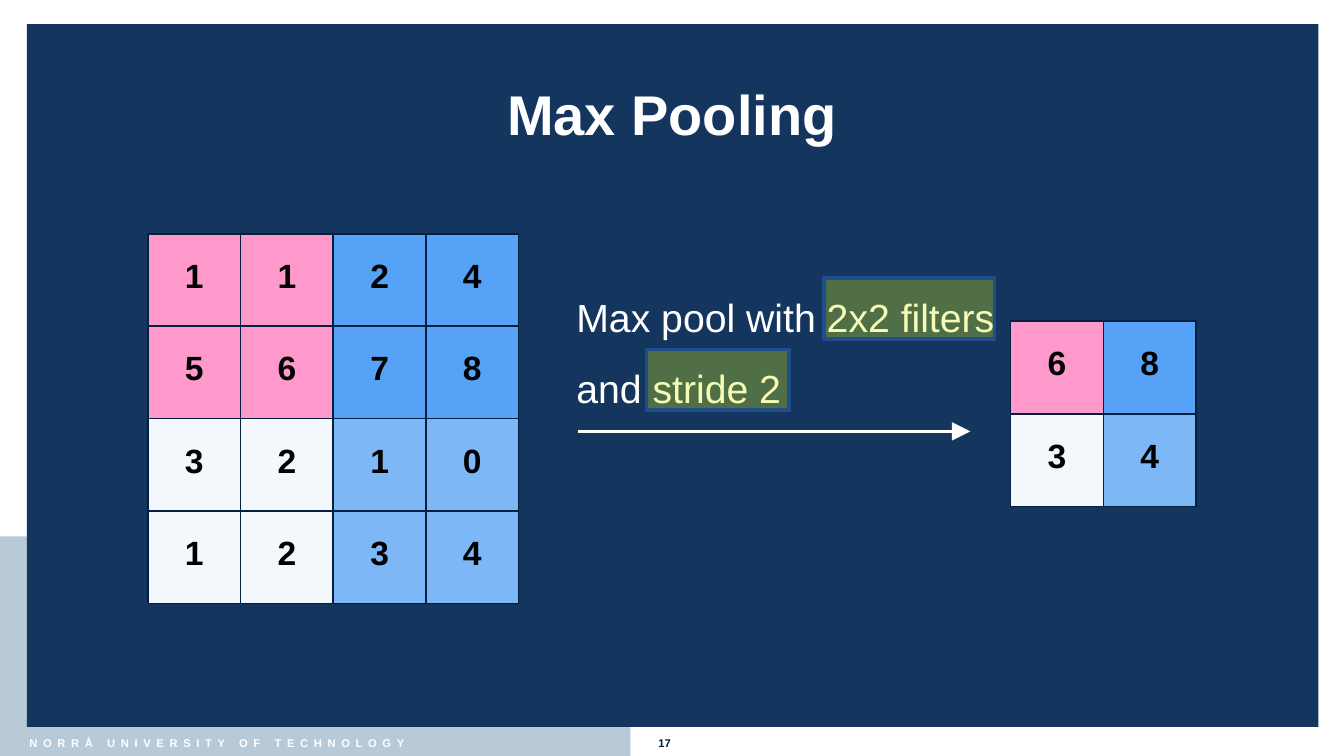
from dataclasses import dataclass
from typing import Any, Optional

import pptx
import pptx.dml.color
import pptx.enum.shapes
import pptx.enum.text
import pptx.oxml
import pptx.oxml.ns
import pptx.util

Inches = pptx.util.Inches
Pt = pptx.util.Pt
RGBColor = pptx.dml.color.RGBColor
Align = pptx.enum.text.PP_ALIGN
Anchor = pptx.enum.text.MSO_ANCHOR

WHITE = RGBColor(0xFF, 0xFF, 0xFF)
BLACK = RGBColor(0x00, 0x00, 0x00)
NAVY = RGBColor(0x14, 0x35, 0x5E)
INK = RGBColor(0x03, 0x20, 0x40)
MIST = RGBColor(0xB8, 0xC9, 0xD7)
PINK = RGBColor(0xFF, 0x99, 0xCC)
BLUE = RGBColor(0x56, 0xA2, 0xF7)
PALE = RGBColor(0xF3, 0xF8, 0xFC)
SKY = RGBColor(0x7E, 0xB7, 0xF5)
YELLOW = RGBColor(0xE1, 0xF7, 0x11)
OUTLINE = RGBColor(0x1E, 0x4F, 0x8C)

QUADRANT_COLORS = ((PINK, BLUE), (PALE, SKY))
CELL_FORMAT = {
    "margin_left": Inches(0.07),
    "margin_right": Inches(0.07),
    "margin_top": Inches(0.04),
    "margin_bottom": Inches(0.04),
}
CELL_PARA = {"alignment": Align.CENTER, "line_spacing": 1.5, "space_before": Pt(6)}


@dataclass
class Block:
    left: float
    top: float
    width: float
    height: float
    color: RGBColor
    opacity: int = 100
    outline: Optional[RGBColor] = None


@dataclass
class Matrix:
    left: float
    top: float
    width: float
    height: float
    values: tuple[tuple[int, ...], ...]


BACKDROP = (
    Block(0, 0, 10, 5.65, WHITE),
    Block(0, 3.99, 4.69, 1.65, MIST),
    Block(0.2, 0.18, 9.61, 5.23, NAVY),
)
HIGHLIGHTS = (
    Block(6.13, 2.07, 1.27, 0.45, YELLOW, 30, OUTLINE),
    Block(4.81, 2.6, 1.06, 0.45, YELLOW, 30, OUTLINE),
)
MATRICES = (
    Matrix(1.1, 1.74, 2.76, 2.75, ((1, 1, 2, 4), (5, 6, 7, 8), (3, 2, 1, 0), (1, 2, 3, 4))),
    Matrix(7.52, 2.39, 1.38, 1.38, ((6, 8), (3, 4))),
)


def set_format(target: Any, values: dict[str, Any]) -> None:
    for name, value in values.items():
        setattr(target, name, value)


def add_child(parent: Any, tag: str, **attributes: str) -> Any:
    child = pptx.oxml.parse_xml(f"<{tag} {pptx.oxml.ns.nsdecls('a')}/>")
    for name, value in attributes.items():
        child.set(name, value)
    parent.append(child)
    return child


def add_span(para: Any, text: str, size: float, color: RGBColor, bold: bool = False) -> Any:
    span = para.add_run()
    span.text = text
    set_format(span.font, {"name": "Arial", "size": Pt(size), "bold": bold})
    span.font.color.rgb = color
    return span


def add_box(page: Any, left: float, top: float, width: float, height: float, wrap: bool) -> Any:
    box = page.shapes.add_textbox(Inches(left), Inches(top), Inches(width), Inches(height))
    box.text_frame.word_wrap = wrap
    return box


def draw_block(page: Any, block: Block) -> None:
    shape = page.shapes.add_shape(
        pptx.enum.shapes.MSO_SHAPE.RECTANGLE,
        Inches(block.left), Inches(block.top), Inches(block.width), Inches(block.height),
    )
    shape.shadow.inherit = False
    shape.fill.solid()
    shape.fill.fore_color.rgb = block.color
    if block.opacity < 100:
        color = shape.element.spPr.find(".//" + pptx.oxml.ns.qn("a:srgbClr"))
        add_child(color, "a:alpha", val=str(block.opacity * 1000))
    if block.outline is None:
        shape.line.fill.background()
    else:
        shape.line.color.rgb = block.outline
        shape.line.width = Pt(2)


def draw_footer(page: Any, institution: str, number: str) -> None:
    para = add_box(page, 0.12, 5.43, 5.05, 0.25, True).text_frame.paragraphs[0]
    stops = add_child(para._p.get_or_add_pPr(), "a:tabLst")
    add_child(stops, "a:tab", pos=str(Inches(4.68)), algn="l")
    span = add_span(para, institution, 6, WHITE, True)
    span.font._element.set("spc", "300")
    add_span(para, "\t" + number, 6, INK, True)


def draw_caption(page: Any, lines: tuple[str, ...]) -> None:
    frame = add_box(page, 4.19, 1.96, 3.34, 1.1, False).text_frame
    frame.auto_size = pptx.enum.text.MSO_AUTO_SIZE.SHAPE_TO_FIT_TEXT
    for index, line in enumerate(lines):
        para = frame.add_paragraph() if index else frame.paragraphs[0]
        para.line_spacing = 1.5
        add_span(para, line, 21, WHITE)


def draw_title(page: Any, text: str) -> None:
    title = page.shapes.title
    set_format(title, {"left": Inches(0.69), "top": Inches(0.3), "width": Inches(8.62), "height": Inches(1.09)})
    title.text_frame.vertical_anchor = Anchor.MIDDLE
    para = title.text_frame.paragraphs[0]
    para.alignment = Align.CENTER
    add_span(para, text, 30, WHITE, True)
    page.shapes.element.append(title.element)


def add_borders(cell: Any) -> None:
    properties = cell._tc.get_or_add_tcPr()
    for side in ("L", "R", "T", "B"):
        line = add_child(properties, f"a:ln{side}", w=str(Pt(1)))
        add_child(add_child(line, "a:solidFill"), "a:srgbClr", val=str(INK))


def draw_matrix(page: Any, matrix: Matrix) -> None:
    count = len(matrix.values)
    table = page.shapes.add_table(
        count, count,
        Inches(matrix.left), Inches(matrix.top), Inches(matrix.width), Inches(matrix.height),
    ).table
    set_format(table, {"first_row": False, "horz_banding": False})
    for row, values in enumerate(matrix.values):
        for column, value in enumerate(values):
            cell = table.cell(row, column)
            set_format(cell, CELL_FORMAT)
            add_borders(cell)
            cell.fill.solid()
            cell.fill.fore_color.rgb = QUADRANT_COLORS[row * 2 // count][column * 2 // count]
            para = cell.text_frame.paragraphs[0]
            set_format(para, CELL_PARA)
            add_span(para, str(value), 18, BLACK, True)


def draw_arrow(page: Any, left: float, right: float, height: float) -> None:
    arrow = page.shapes.add_connector(
        pptx.enum.shapes.MSO_CONNECTOR.STRAIGHT,
        Inches(left), Inches(height), Inches(right), Inches(height),
    )
    arrow.line.color.rgb = WHITE
    arrow.line.width = Pt(1.75)
    add_child(arrow.line._get_or_add_ln(), "a:tailEnd", type="triangle", w="lg", len="lg")
    add_child(arrow.element.spPr, "a:effectLst")


def main() -> None:
    deck = pptx.Presentation()
    set_format(deck, {"slide_width": Inches(10), "slide_height": Inches(10) * 9 // 16})
    page = deck.slides.add_slide(deck.slide_layouts[5])
    for block in BACKDROP:
        draw_block(page, block)
    draw_footer(page, "NORRÅ UNIVERSITY OF TECHNOLOGY", "17")
    draw_caption(page, ("Max pool with 2x2 filters", "and stride 2"))
    draw_title(page, "Max Pooling")
    for matrix in MATRICES:
        draw_matrix(page, matrix)
    for block in HIGHLIGHTS:
        draw_block(page, block)
    draw_arrow(page, 4.3, 7.22, 3.21)
    deck.save("out.pptx")


if __name__ == "__main__":
    main()
